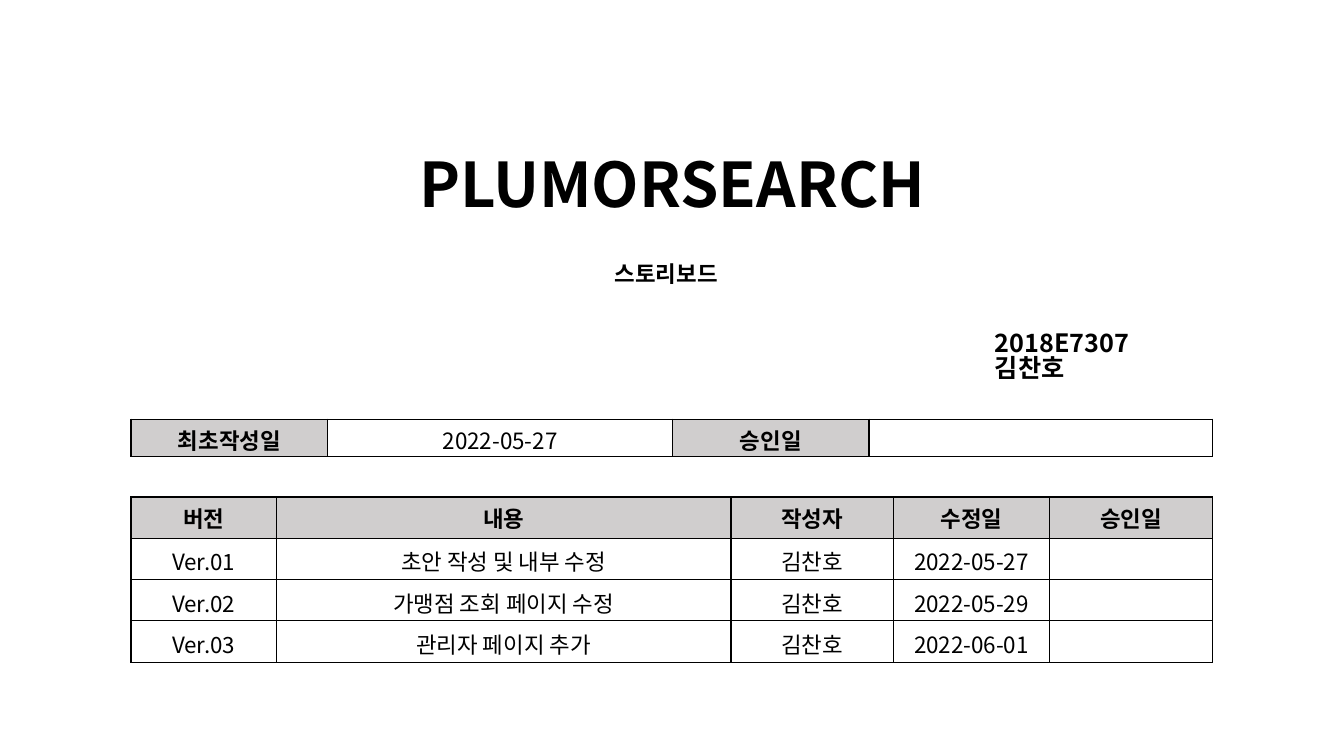
from dataclasses import dataclass
from typing import Any

from lxml import etree
from pptx import Presentation
from pptx import util as u
from pptx.dml.color import RGBColor
from pptx.enum import text
from pptx.oxml.ns import qn

PX = 9144


@dataclass(frozen=True)
class Theme:
    ink: str = "000000"
    header: str = "D0CECE"
    paper: str = "FFFFFF"
    title_font: str = "Noto Sans CJK SC"
    body_font: str = "Noto Sans CJK KR"
    title_size: int = 44
    author_size: int = 18
    body_size: int = 16
    line_spacing: float = 0.83
    border: int = 1


@dataclass(frozen=True)
class Label:
    box: tuple[int, int, int, int]
    lines: tuple[str, ...]
    size: int
    font: str
    align: Any = text.PP_ALIGN.LEFT


@dataclass(frozen=True)
class Grid:
    left: int
    top: int
    widths: tuple[int, ...]
    row_height: int
    rows: tuple[tuple[str, ...], ...]
    header_cells: frozenset[tuple[int, int]]


THEME = Theme()
LABELS = (
    Label((397, 152, 540, 84), ("PLUMORSEARCH",), THEME.title_size,
          THEME.title_font, text.PP_ALIGN.CENTER),
    Label((600, 258, 132, 37), ("스토리보드",), THEME.body_size, THEME.body_font),
    Label((977, 325, 226, 70), ("2018E7307", "김찬호"), THEME.author_size,
          THEME.body_font),
)
GRIDS = (
    Grid(130, 416, (195, 342, 195, 341), 37,
         (("최초작성일", "2022-05-27", "승인일", ""),),
         frozenset({(0, 0), (0, 2)})),
    Grid(130, 493, (144, 451, 161, 155, 162), 41,
         (("버전", "내용", "작성자", "수정일", "승인일"),
          ("Ver.01", "초안 작성 및 내부 수정", "김찬호", "2022-05-27", ""),
          ("Ver.02", "가맹점 조회 페이지 수정", "김찬호", "2022-05-29", ""),
          ("Ver.03", "관리자 페이지 추가", "김찬호", "2022-06-01", "")),
         frozenset((0, column) for column in range(5))),
)


def write_text(paragraph: Any, content: str, *, size: int, font: str,
               bold: bool, align: Any) -> None:
    paragraph.alignment = align
    paragraph.line_spacing = THEME.line_spacing
    if not content:
        etree.SubElement(paragraph._p, qn("a:endParaRPr"), sz=str(size * 100))
        return
    run = paragraph.add_run()
    run.text = content
    run.font.size = u.Pt(size)
    run.font.name = font
    run.font.bold = bold
    run.font.color.rgb = RGBColor.from_string(THEME.ink)
    etree.SubElement(run._r.get_or_add_rPr(), qn("a:ea"), typeface=font)


def add_label(slide: Any, label: Label) -> None:
    shape = slide.shapes.add_textbox(*(length * PX for length in label.box))
    frame = shape.text_frame
    frame.word_wrap = True
    for index, line in enumerate(label.lines):
        paragraph = frame.add_paragraph() if index else frame.paragraphs[0]
        write_text(paragraph, line, size=label.size, font=label.font,
                   bold=True, align=label.align)


def set_borders(cell: Any) -> None:
    properties = cell._tc.get_or_add_tcPr()
    for index, side in enumerate(("lnL", "lnR", "lnT", "lnB")):
        line = etree.Element(qn(f"a:{side}"), w=str(u.Pt(THEME.border)))
        fill = etree.SubElement(line, qn("a:solidFill"))
        etree.SubElement(fill, qn("a:srgbClr"), val=THEME.ink)
        properties.insert(index, line)


def add_grid(slide: Any, grid: Grid) -> None:
    shape = slide.shapes.add_table(
        len(grid.rows), len(grid.widths), grid.left * PX, grid.top * PX,
        sum(grid.widths) * PX, grid.row_height * len(grid.rows) * PX)
    table = shape.table
    table.first_row = table.horz_banding = False
    for column, width in zip(table.columns, grid.widths):
        column.width = width * PX
    for row_index, row in enumerate(grid.rows):
        table.rows[row_index].height = grid.row_height * PX
        for column_index, content in enumerate(row):
            cell = table.cell(row_index, column_index)
            is_header = (row_index, column_index) in grid.header_cells
            cell.fill.solid()
            cell.fill.fore_color.rgb = RGBColor.from_string(
                THEME.header if is_header else THEME.paper)
            cell.margin_top, cell.margin_bottom = 9 * PX, 1 * PX
            cell.vertical_anchor = (text.MSO_ANCHOR.MIDDLE if row_index
                                    else text.MSO_ANCHOR.TOP)
            write_text(cell.text_frame.paragraphs[0], content,
                       size=THEME.body_size, font=THEME.body_font,
                       bold=is_header, align=text.PP_ALIGN.CENTER)
            set_borders(cell)


def main() -> None:
    """Build the storyboard cover with its approval and version tables."""
    presentation = Presentation()
    presentation.slide_width, presentation.slide_height = 1333 * PX, 750 * PX
    slide = presentation.slides.add_slide(presentation.slide_layouts[6])
    for label in LABELS:
        add_label(slide, label)
    for grid in GRIDS:
        add_grid(slide, grid)
    presentation.save("out.pptx")


if __name__ == "__main__":
    main()
